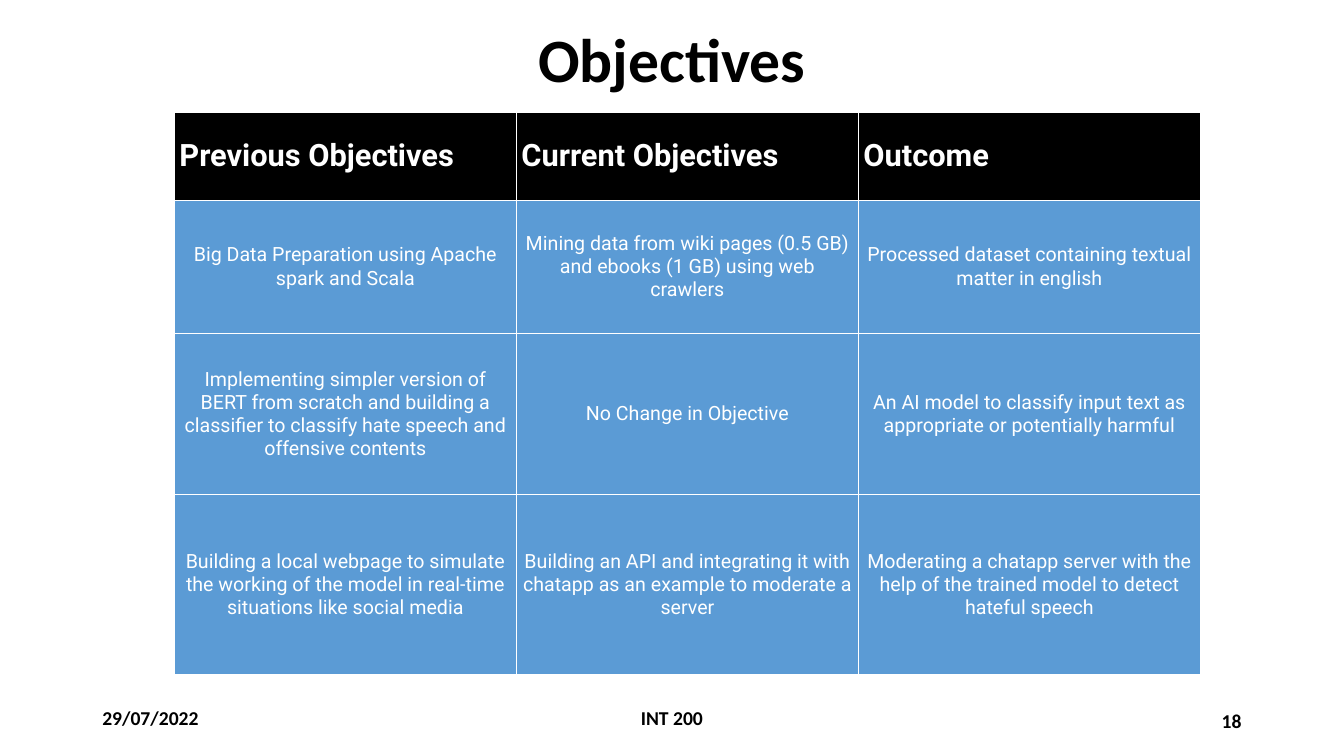
"""Build the Objectives slide: a title, a three-column table and a footer."""
from dataclasses import dataclass

from lxml import etree
from pptx import Presentation
from pptx.dml.color import RGBColor
from pptx.enum.text import MSO_ANCHOR, PP_ALIGN
from pptx.oxml.ns import qn
from pptx.slide import Slide
from pptx.table import _Cell
from pptx.text.text import TextFrame
from pptx.util import Pt

LEFT, CENTER, RIGHT = PP_ALIGN.LEFT, PP_ALIGN.CENTER, PP_ALIGN.RIGHT
TOP, MIDDLE = MSO_ANCHOR.TOP, MSO_ANCHOR.MIDDLE


@dataclass(frozen=True)
class Theme:
    """Colours, fonts and type sizes."""
    black: str = "000000"
    white: str = "FFFFFF"
    blue: str = "5B9BD5"
    slide_font: str = "Calibri"
    table_font: str = "Roboto"
    title_size: float = 44
    header_size: float = 22
    body_size: float = 14
    border: float = 1


THEME = Theme()


@dataclass(frozen=True)
class Style:
    """The look of one piece of text."""
    font: str
    size: float
    color: str
    bold: bool
    align: PP_ALIGN


@dataclass(frozen=True)
class Label:
    """A text box with its place in points."""
    text: str
    left: float
    top: float
    width: float
    height: float
    style: Style
    anchor: MSO_ANCHOR
    line_spacing: float = 1.0


def footer_style(align: PP_ALIGN) -> Style:
    """Return the footer style with the given alignment."""
    return Style(THEME.slide_font, THEME.body_size, THEME.black, True, align)


SLIDE_W, SLIDE_H = 960, 540
FOOTER_TOP, FOOTER_H = 500.5, 28.75
TABLE_LEFT, TABLE_TOP, COLUMN_W = 124.6, 80.6, 244.3
ROW_HEIGHTS = (62.4, 95.2, 115.2, 128.3)
MARGIN_X, MARGIN_Y = 3.6, 2.2

TITLE_STYLE = Style(THEME.slide_font, THEME.title_size, THEME.black, True, CENTER)
HEADER_STYLE = Style(THEME.table_font, THEME.header_size, THEME.white, True, LEFT)
BODY_STYLE = Style(THEME.table_font, THEME.body_size, THEME.white, False, CENTER)

LABELS = (
    Label("18", 678, FOOTER_TOP, 216, FOOTER_H, footer_style(RIGHT), MIDDLE),
    Label("INT 200", 318, FOOTER_TOP, 324, FOOTER_H, footer_style(CENTER), TOP),
    Label("29/07/2022", 66, FOOTER_TOP, 216, FOOTER_H, footer_style(LEFT), TOP),
    Label("Objectives", 0, 0, SLIDE_W, 90, TITLE_STYLE, MIDDLE, 0.9),
)

OBJECTIVES = (
    ("Previous Objectives", "Current Objectives", "Outcome"),
    ("Big Data Preparation using Apache spark and Scala",
     "Mining data from wiki pages (0.5 GB) and ebooks (1 GB) using web crawlers",
     "Processed dataset containing textual matter in english"),
    ("Implementing simpler version of BERT from scratch and building a classifier "
     "to classify hate speech and offensive contents",
     "No Change in Objective",
     "An AI model to classify input text as appropriate or potentially harmful"),
    ("Building a local webpage to simulate the working of the model in real-time "
     "situations like social media",
     "Building an API and integrating it with chatapp as an example to moderate a server",
     "Moderating a chatapp server with the help of the trained model to detect "
     "hateful speech"),
)


def write(tf: TextFrame, text: str, style: Style, line_spacing: float = 1.0) -> None:
    """Write one styled run into the first paragraph."""
    p = tf.paragraphs[0]
    p.alignment = style.align
    p.line_spacing = line_spacing
    r = p.add_run()
    r.text = text
    r.font.name = style.font
    r.font.size = Pt(style.size)
    r.font.bold = style.bold
    r.font.color.rgb = RGBColor.from_string(style.color)


def add_label(s: Slide, label: Label) -> None:
    """Add one text box."""
    sp = s.shapes.add_textbox(Pt(label.left), Pt(label.top), Pt(label.width), Pt(label.height))
    tf = sp.text_frame
    tf.word_wrap = True
    tf.vertical_anchor = label.anchor
    write(tf, label.text, label.style, label.line_spacing)


def add_borders(cell: _Cell) -> None:
    """Draw a thin white line on every side of a cell."""
    tc_pr = cell._tc.get_or_add_tcPr()
    for side in ("a:lnL", "a:lnR", "a:lnT", "a:lnB"):
        ln = etree.SubElement(tc_pr, qn(side), w=str(Pt(THEME.border)))
        fill = etree.SubElement(ln, qn("a:solidFill"))
        etree.SubElement(fill, qn("a:srgbClr"), val=THEME.white)


def fill_cell(cell: _Cell, text: str, style: Style, color: str) -> None:
    """Set a cell's margins, borders, fill and text."""
    cell.margin_left = cell.margin_right = Pt(MARGIN_X)
    cell.margin_top = cell.margin_bottom = Pt(MARGIN_Y)
    cell.vertical_anchor = MIDDLE
    add_borders(cell)
    cell.fill.solid()
    cell.fill.fore_color.rgb = RGBColor.from_string(color)
    write(cell.text_frame, text, style)


def add_objectives(s: Slide) -> None:
    """Add the objectives table."""
    columns = len(OBJECTIVES[0])
    frame = s.shapes.add_table(len(OBJECTIVES), columns, Pt(TABLE_LEFT), Pt(TABLE_TOP),
                               Pt(COLUMN_W * columns), Pt(sum(ROW_HEIGHTS)))
    table = frame.table
    table.horz_banding = False
    for column in table.columns:
        column.width = Pt(COLUMN_W)
    for i, (height, texts) in enumerate(zip(ROW_HEIGHTS, OBJECTIVES)):
        table.rows[i].height = Pt(height)
        style, color = (BODY_STYLE, THEME.blue) if i else (HEADER_STYLE, THEME.black)
        for j, text in enumerate(texts):
            fill_cell(table.cell(i, j), text, style, color)


def main() -> None:
    """Build and save the slide."""
    prs = Presentation()
    prs.slide_width, prs.slide_height = Pt(SLIDE_W), Pt(SLIDE_H)
    s = prs.slides.add_slide(prs.slide_layouts[6])
    add_objectives(s)
    for label in LABELS:
        add_label(s, label)
    prs.save("out.pptx")


if __name__ == "__main__":
    main()
